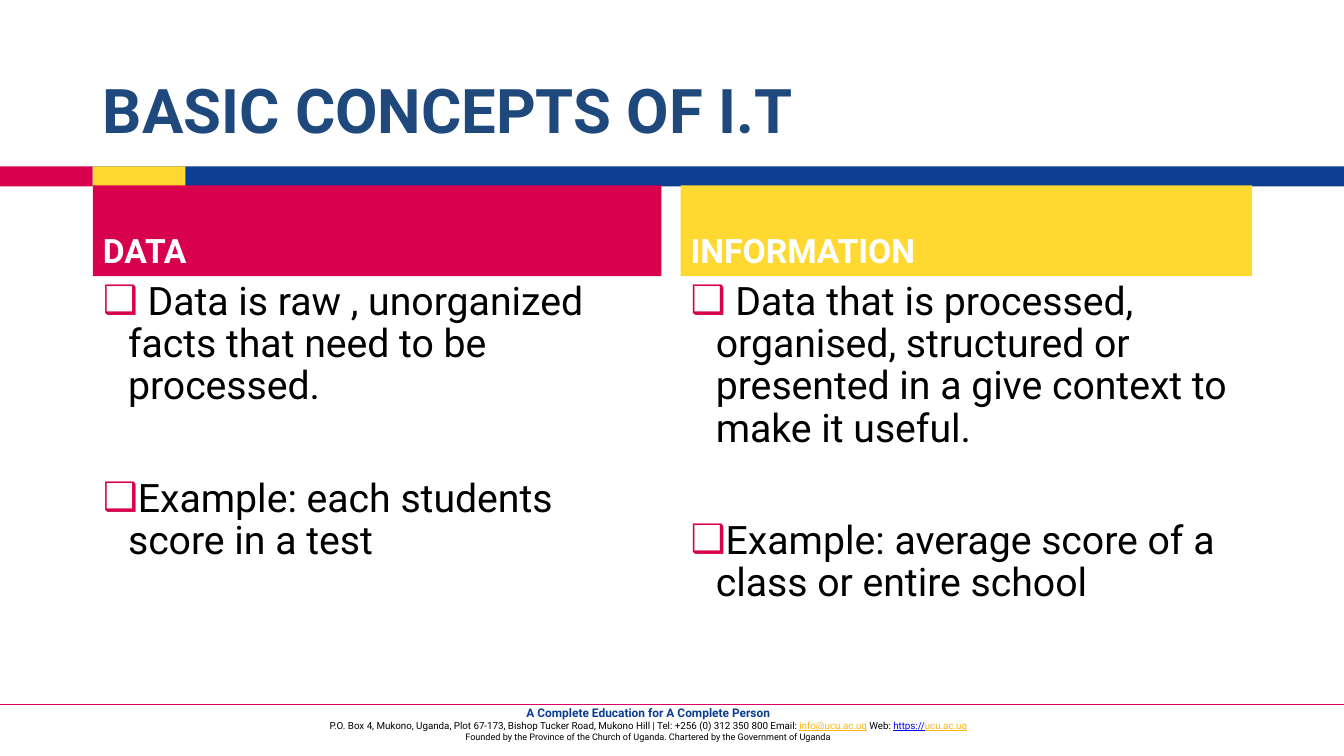
import pptx
import pptx.util
import pptx.dml.color
import pptx.enum.shapes
import pptx.enum.text
import pptx.oxml
import pptx.oxml.ns

Inches = pptx.util.Inches
Pt = pptx.util.Pt
RGBColor = pptx.dml.color.RGBColor

BLUE = RGBColor(0x0B, 0x3D, 0x91)
CRIMSON = RGBColor(0xD7, 0x01, 0x4D)
YELLOW = RGBColor(0xFF, 0xD9, 0x32)
RULE_PINK = RGBColor(0xD7, 0x01, 0x67)
TITLE_BLUE = RGBColor(0x1F, 0x49, 0x7D)
LINK_GOLD = RGBColor(0xF7, 0xB6, 0x15)
LINK_BLUE = RGBColor(0x00, 0x00, 0xFF)
BLACK = RGBColor(0x00, 0x00, 0x00)
WHITE = RGBColor(0xFF, 0xFF, 0xFF)


def add_span(para, text, size, color, bold=False, underline=False):
    span = para.add_run()
    span.text = text
    span.font.name = "Roboto"
    span.font.size = Pt(size)
    span.font.color.rgb = color
    span.font.bold = bold
    span.font.underline = underline


def place(box, left, top, width, height, anchor):
    box.left, box.top = Inches(left), Inches(top)
    box.width, box.height = Inches(width), Inches(height)
    frame = box.text_frame
    frame.word_wrap = True
    frame.auto_size = pptx.enum.text.MSO_AUTO_SIZE.NONE
    frame.vertical_anchor = anchor
    para = frame.paragraphs[0]
    para.alignment = pptx.enum.text.PP_ALIGN.LEFT
    para.line_spacing = 0.9
    para.space_before = Pt(0)
    return para


deck = pptx.Presentation()
deck.slide_width = Inches(13.33)
deck.slide_height = Inches(7.5)
page = deck.slides.add_slide(deck.slide_layouts.get_by_name("Comparison"))
anchors = pptx.enum.text.MSO_ANCHOR

for left, width, color in [(0.92, 12.41, BLUE), (0, 0.92, CRIMSON), (0.92, 0.92, YELLOW)]:
    bar = page.shapes.add_shape(
        pptx.enum.shapes.MSO_SHAPE.RECTANGLE,
        Inches(left), Inches(1.65), Inches(width), Inches(0.2))
    bar.shadow.inherit = False
    bar.fill.solid()
    bar.fill.fore_color.rgb = color
    bar.line.fill.background()
    page.shapes.title._element.addprevious(bar._element)

title = place(page.shapes.title, 0.92, 0.4, 11.5, 1.45, anchors.MIDDLE)
add_span(title, "BASIC CONCEPTS OF I.T", 44, TITLE_BLUE, bold=True)

columns = [
    (1, 0.92, 5.64, CRIMSON, "DATA", [
        " Data is raw , unorganized facts that need to be processed.",
        "Example: each students score in a test"]),
    (3, 6.75, 5.67, YELLOW, "INFORMATION", [
        " Data that is processed, organised, structured or presented in a give context to make it useful.",
        "Example: average score of a class or entire school"]),
]
for index, left, width, color, heading, points in columns:
    header = page.placeholders[index]
    para = place(header, left, 1.84, width, 0.9, anchors.BOTTOM)
    header.fill.solid()
    header.fill.fore_color.rgb = color
    add_span(para, heading, 24, WHITE, bold=True)

    body = page.placeholders[index + 1]
    para = place(body, left, 2.74, width, 4.03, anchors.TOP)
    for number, point in enumerate(points):
        if number:
            para = body.text_frame.add_paragraph()
            para.line_spacing = 0.9
            para.space_before = Pt(50)
        properties = para._p.get_or_add_pPr()
        properties.set("marL", str(Inches(0.25)))
        properties.set("indent", str(Inches(-0.25)))
        namespace = pptx.oxml.ns.nsdecls("a")
        properties.append(pptx.oxml.parse_xml(
            f'<a:buClr {namespace}><a:srgbClr val="{CRIMSON}"/></a:buClr>'))
        properties.append(pptx.oxml.parse_xml(f'<a:buChar {namespace} char="❑"/>'))
        add_span(para, point, 28, BLACK)

rule = page.shapes.add_connector(
    pptx.enum.shapes.MSO_CONNECTOR.STRAIGHT,
    Inches(0), Inches(6.99), Inches(13.33), Inches(6.99))
rule.line.color.rgb = RULE_PINK
rule.line.width = Pt(1)
rule._element.spPr.append(
    pptx.oxml.parse_xml(f'<a:effectLst {pptx.oxml.ns.nsdecls("a")}/>'))

footer = page.shapes.add_textbox(Inches(2.32), Inches(6.95), Inches(8.22), Inches(0.47))
footer.text_frame.word_wrap = True
para = footer.text_frame.paragraphs[0]
para.alignment = pptx.enum.text.PP_ALIGN.CENTER
add_span(para, "A Complete Education for A Complete Person", 8.5, BLUE, bold=True)
para.add_line_break()
for text, color, underline in [
    ("P.O. Box 4, Mukono, Uganda, Plot 67-173, Bishop Tucker Road, Mukono Hill | "
     "Tel: +256 (0) 312 350 800 Email: ", BLACK, False),
    ("info@ucu.ac.ug", LINK_GOLD, True),
    (" Web: ", BLACK, False),
    ("https://", LINK_BLUE, True),
    ("ucu.ac.ug", LINK_GOLD, True),
]:
    add_span(para, text, 7, color, underline=underline)
para = footer.text_frame.add_paragraph()
para.alignment = pptx.enum.text.PP_ALIGN.CENTER
add_span(para, "Founded by the Province of the Church of Uganda. "
         "Chartered by the Government of Uganda", 6.5, BLACK)

deck.save("out.pptx")
